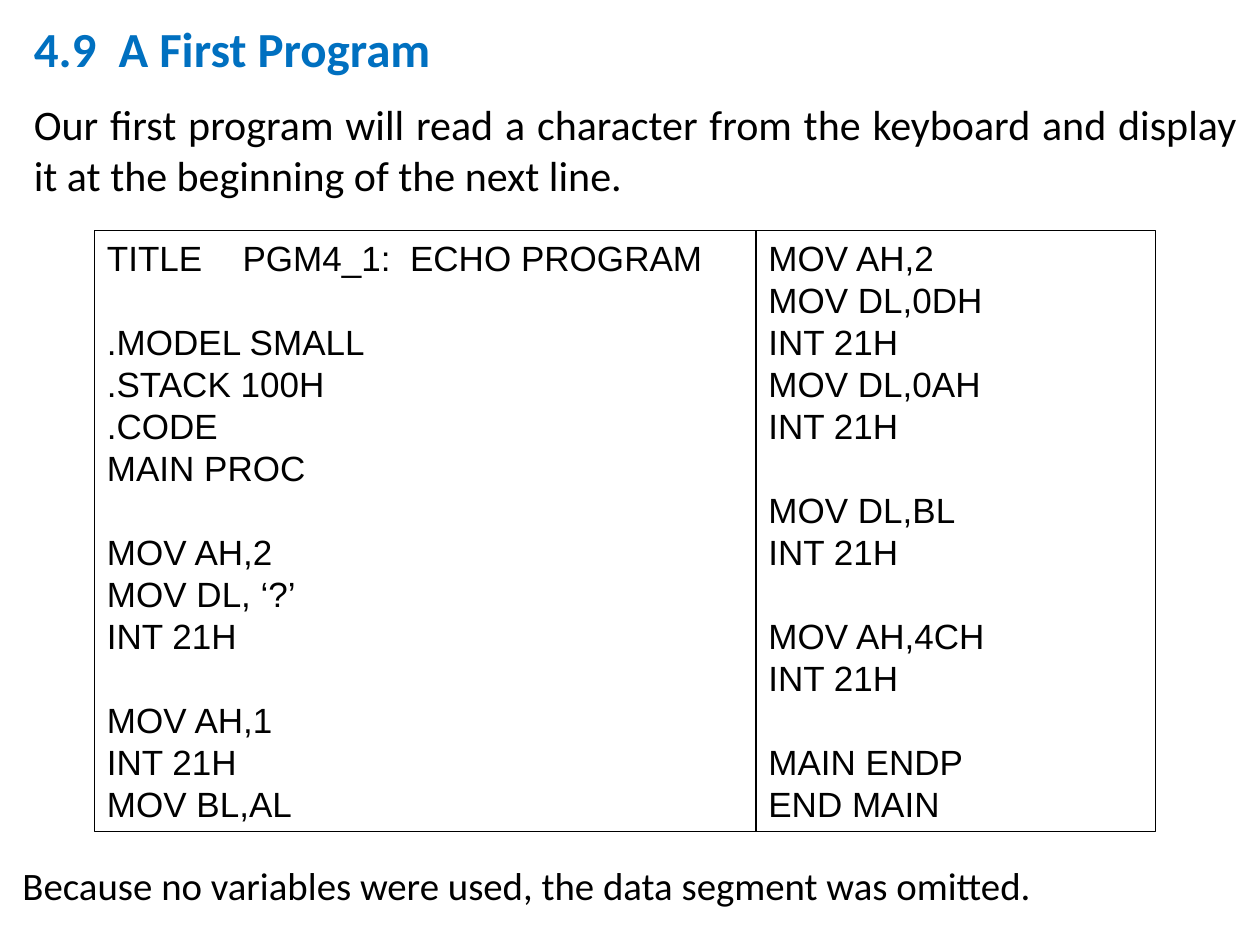
from pptx import Presentation
from pptx.dml.color import RGBColor
from pptx.enum.shapes import MSO_SHAPE
from pptx.enum.text import MSO_ANCHOR, PP_ALIGN
from pptx.util import Inches, Pt

BLUE = RGBColor(0x00, 0x70, 0xC0)
BLACK = RGBColor(0x00, 0x00, 0x00)

TITLE = "4.9  A First Program"
INTRO = ("Our first program will read a character from the keyboard "
         "and display it at the beginning of the next line.")
CLOSING = "Because no variables were used, the data segment was omitted."

LEFT_CODE = [
    ["TITLE\t PGM4_1:  ECHO PROGRAM"],
    [".MODEL SMALL", ".STACK 100H", ".CODE", "MAIN PROC"],
    ["MOV AH,2", "MOV DL, ‘?’", "INT 21H"],
    ["MOV AH,1", "INT 21H", "MOV BL,AL"],
]
RIGHT_CODE = [
    ["MOV AH,2", "MOV DL,0DH", "INT 21H", "MOV DL,0AH", "INT 21H"],
    ["MOV DL,BL", "INT 21H"],
    ["MOV AH,4CH", "INT 21H"],
    ["MAIN ENDP", "END MAIN"],
]
CODE_COLUMNS = [(5.25, LEFT_CODE), (3.17, RIGHT_CODE)]
CODE_LEFT, CODE_TOP, CODE_HEIGHT = 0.75, 1.83, 4.77
CODE_LINE = Pt(24)

TITLE_FONT = {"name": "Calibri", "size": Pt(28), "bold": True}
INTRO_FONT = {"name": "Calibri", "size": Pt(24), "bold": False}
CLOSING_FONT = {"name": "Calibri", "size": Pt(22.2)}
CODE_FONT = {"name": "Arial", "size": Pt(20)}

JUSTIFIED = {"alignment": PP_ALIGN.JUSTIFY}
CODE_FORMAT = {"alignment": PP_ALIGN.LEFT, "line_spacing": CODE_LINE}


def set_values(target, values):
    for name, value in values.items():
        setattr(target, name, value)


def write(frame, lines):
    set_values(frame, {"word_wrap": True, "vertical_anchor": MSO_ANCHOR.TOP})
    for index, (text, font, color, layout) in enumerate(lines):
        para = frame.add_paragraph() if index else frame.paragraphs[0]
        set_values(para, layout)
        span = para.add_run()
        span.text = text
        set_values(span.font, font)
        span.font.color.rgb = color


def code_lines(blocks):
    for block_index, block in enumerate(blocks):
        for line_index, text in enumerate(block):
            layout = dict(CODE_FORMAT)
            if block_index and not line_index:
                layout["space_before"] = CODE_LINE
            yield text, CODE_FONT, BLACK, layout


def add_text(page, area, lines):
    box = page.shapes.add_textbox(*map(Inches, area))
    write(box.text_frame, lines)
    return box


def add_code(page):
    group = page.shapes.add_group_shape()
    left = CODE_LEFT
    for width, blocks in CODE_COLUMNS:
        area = map(Inches, (left, CODE_TOP, width, CODE_HEIGHT))
        box = group.shapes.add_shape(MSO_SHAPE.RECTANGLE, *area)
        box.shadow.inherit = False
        box.fill.background()
        box.line.color.rgb = BLACK
        box.line.width = Pt(0.75)
        write(box.text_frame, code_lines(blocks))
        left += width


def main():
    deck = Presentation()
    deck.slide_width, deck.slide_height = Inches(10), Inches(7.5)
    page = deck.slides.add_slide(deck.slide_layouts[6])
    heading = add_text(page, (0.17, 0.08, 9.75, 1.58), [
        (TITLE, TITLE_FONT, BLUE, JUSTIFIED),
        (INTRO, INTRO_FONT, BLACK, {**JUSTIFIED, "space_before": Pt(12)}),
    ])
    heading.text_frame.margin_top = Inches(0.07)
    add_code(page)
    add_text(page, (0.08, 6.83, 9.75, 0.5), [
        (CLOSING, CLOSING_FONT, BLACK, {**JUSTIFIED, "line_spacing": 0.9}),
    ])
    deck.save("out.pptx")


if __name__ == "__main__":
    main()
